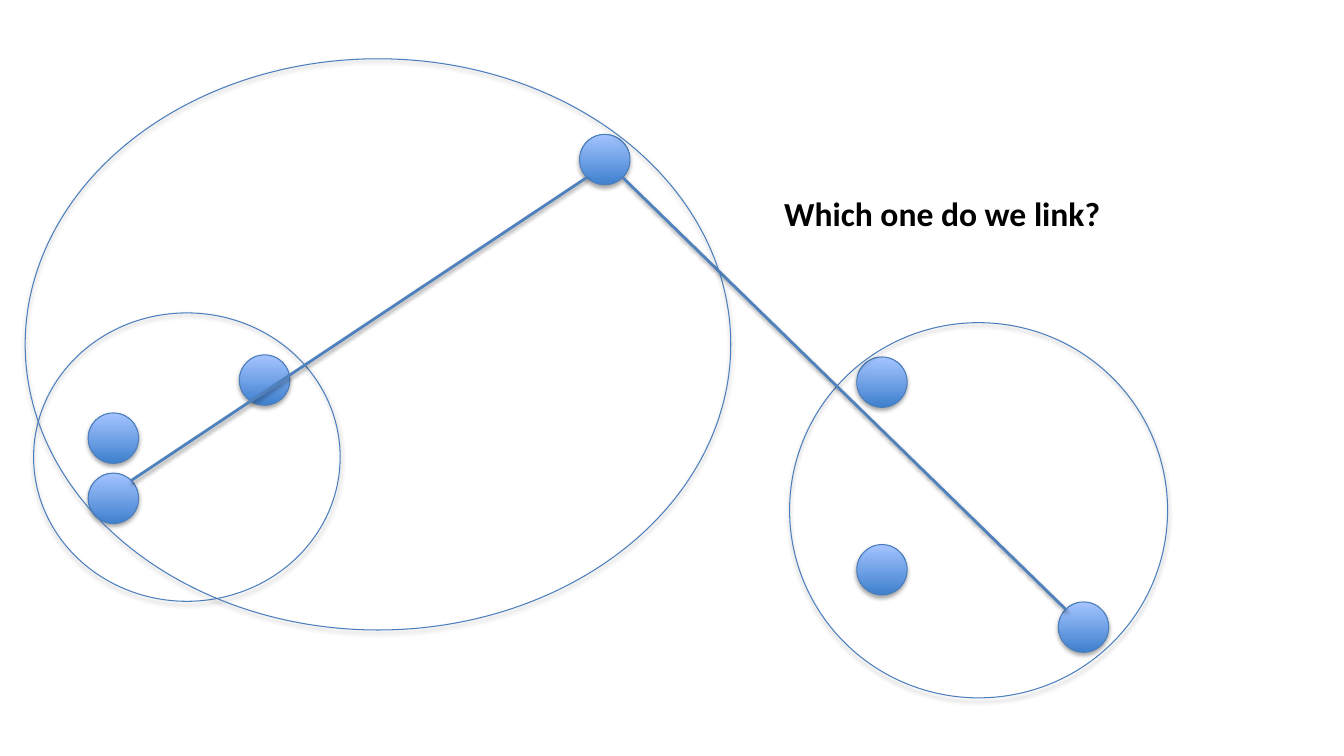
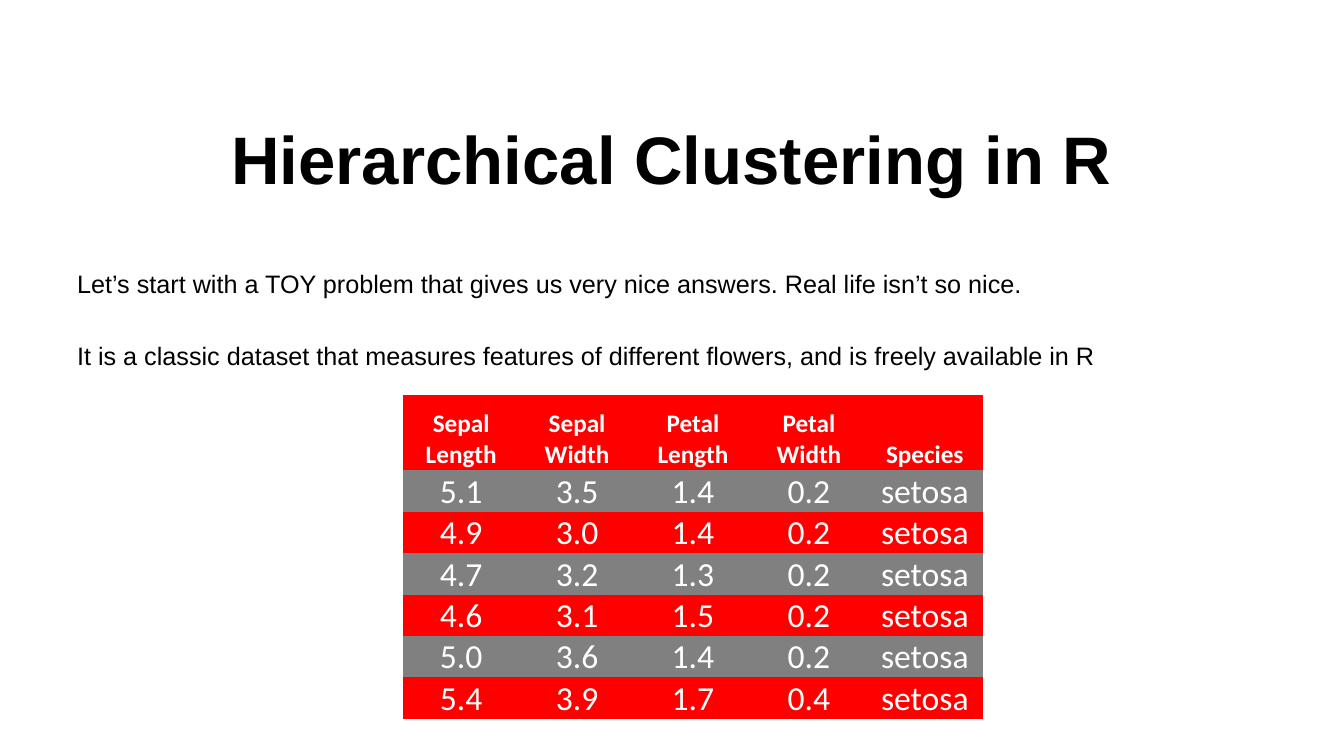
import math

import pptx
import pptx.dml.color
import pptx.enum.shapes
import pptx.enum.text
import pptx.oxml.ns
import pptx.util
from lxml import etree

Pt = pptx.util.Pt
RGBColor = pptx.dml.color.RGBColor
qn = pptx.oxml.ns.qn
ALIGN = pptx.enum.text.PP_ALIGN
ANCHOR = pptx.enum.text.MSO_ANCHOR

BLACK = RGBColor(0x00, 0x00, 0x00)
WHITE = RGBColor(0xFF, 0xFF, 0xFF)
RED = RGBColor(0xFF, 0x00, 0x00)
GREY = RGBColor(0x80, 0x80, 0x80)
DARK_BLUE = RGBColor(0x3F, 0x80, 0xCE)
LIGHT_BLUE = RGBColor(0xA4, 0xC4, 0xFF)
OUTLINE_BLUE = RGBColor(0x4B, 0x7E, 0xBC)
LINK_BLUE = RGBColor(0x4F, 0x81, 0xBD)

HEADING_FONT = "Arial"
LABEL_FONT = "Calibri"
RADIUS = 18
PLAIN_TABLE_STYLE = "{2D5ABB26-0587-4C30-8999-92F81FD0307C}"

FLOWERS = [
    ("Sepal Length", "Sepal Width", "Petal Length", "Petal Width", "Species"),
    ("5.1", "3.5", "1.4", "0.2", "setosa"),
    ("4.9", "3.0", "1.4", "0.2", "setosa"),
    ("4.7", "3.2", "1.3", "0.2", "setosa"),
    ("4.6", "3.1", "1.5", "0.2", "setosa"),
    ("5.0", "3.6", "1.4", "0.2", "setosa"),
    ("5.4", "3.9", "1.7", "0.4", "setosa"),
]


class Deck:
    def __init__(self):
        self.presentation = pptx.Presentation()
        self.presentation.slide_width = Pt(960)
        self.presentation.slide_height = Pt(540)
        self.slide = None

    def new_slide(self):
        self.slide = self.presentation.slides.add_slide(self.presentation.slide_layouts[6])

    def set_font(self, paragraph, name, size, color, bold=False):
        font = paragraph.font
        font.name, font.size, font.bold = name, Pt(size), bold
        font.color.rgb = color

    def drop_shadow(self, shape, distance, opacity):
        """Add a soft shadow straight below; call after fill and line are set."""
        effects = etree.SubElement(shape._element.spPr, qn("a:effectLst"))
        shadow = etree.SubElement(effects, qn("a:outerShdw"), blurRad=str(Pt(3.1)),
                                  dist=str(Pt(distance)), dir="5400000", rotWithShape="0")
        color = etree.SubElement(shadow, qn("a:srgbClr"), val=str(BLACK))
        etree.SubElement(color, qn("a:alpha"), val=str(opacity * 1000))

    def ellipse(self, left, top, width, height, filled=False):
        shape = self.slide.shapes.add_shape(pptx.enum.shapes.MSO_SHAPE.OVAL,
                                            Pt(left), Pt(top), Pt(width), Pt(height))
        if filled:
            shape.fill.gradient()
            shape.fill.gradient_angle = 90
            for stop, position, color in zip(shape.fill.gradient_stops, (0, 1),
                                             (DARK_BLUE, LIGHT_BLUE)):
                stop.position = position
                stop.color.rgb = color
        else:
            shape.fill.background()
        shape.line.color.rgb = OUTLINE_BLUE
        shape.line.width = Pt(0.75)
        self.drop_shadow(shape, 1.8, 35)

    def dot(self, center):
        x, y = center
        self.ellipse(x - RADIUS, y - RADIUS, 2 * RADIUS, 2 * RADIUS, filled=True)

    def link(self, start, end):
        """Join two dots at the diagonal points of their rims that face each other."""
        reach = RADIUS * math.sqrt(0.5)
        step_x = math.copysign(reach, end[0] - start[0])
        step_y = math.copysign(reach, end[1] - start[1])
        connector = self.slide.shapes.add_connector(
            pptx.enum.shapes.MSO_CONNECTOR.STRAIGHT,
            Pt(start[0] + step_x), Pt(start[1] + step_y),
            Pt(end[0] - step_x), Pt(end[1] - step_y))
        connector.line.color.rgb = LINK_BLUE
        connector.line.width = Pt(2)
        self.drop_shadow(connector, 1.6, 38)

    def text(self, left, top, width, height, lines, font, size, bold=False,
             align=ALIGN.LEFT, anchor=ANCHOR.TOP, gap=0):
        box = self.slide.shapes.add_textbox(Pt(left), Pt(top), Pt(width), Pt(height))
        frame = box.text_frame
        frame.word_wrap = True
        frame.vertical_anchor = anchor
        frame.text = "\n".join(lines)
        for index, paragraph in enumerate(frame.paragraphs):
            paragraph.alignment = align
            if index and gap:
                paragraph.space_before = Pt(gap)
            self.set_font(paragraph, font, size, BLACK, bold)

    def title(self, title):
        self.text(48, 70.5, 864, 84, [title], HEADING_FONT, 48, bold=True,
                  align=ALIGN.CENTER, anchor=ANCHOR.MIDDLE)

    def table(self, left, top, column_width, header_height, row_height, rows):
        height = header_height + row_height * (len(rows) - 1)
        frame = self.slide.shapes.add_table(len(rows), len(rows[0]), Pt(left), Pt(top),
                                            Pt(column_width * len(rows[0])), Pt(height))
        table = frame.table
        table.horz_banding = False
        table._tbl.tblPr.find(qn("a:tableStyleId")).text = PLAIN_TABLE_STYLE
        for column in table.columns:
            column.width = Pt(column_width)
        for row_index, values in enumerate(rows):
            header = row_index == 0
            table.rows[row_index].height = Pt(header_height if header else row_height)
            for cell, value in zip(table.rows[row_index].cells, values):
                cell.fill.solid()
                cell.fill.fore_color.rgb = GREY if row_index % 2 else RED
                cell.vertical_anchor = ANCHOR.BOTTOM
                cell.margin_left = cell.margin_right = cell.margin_top = Pt(0.75)
                cell.margin_bottom = 0
                cell.text = value
                paragraph = cell.text_frame.paragraphs[0]
                paragraph.alignment = ALIGN.CENTER
                self.set_font(paragraph, LABEL_FONT, 18 if header else 24, WHITE, header)


def linkage_slide(deck):
    deck.new_slide()
    top_dot, low_left_dot, far_right_dot = (432, 114), (81, 356), (774, 448)
    for center in [(189, 271.5), top_dot, (630, 407), (630, 273), (81, 313),
                   low_left_dot, far_right_dot]:
        deck.dot(center)
    deck.ellipse(564, 230.5, 270, 268)
    deck.ellipse(24, 223.5, 219, 206)
    deck.link(far_right_dot, top_dot)
    deck.link(top_dot, low_left_dot)
    deck.ellipse(18, 42, 504, 408)
    deck.text(553, 134, 281.5, 36, ["Which one do we link?"], LABEL_FONT, 24, bold=True)


def flowers_slide(deck):
    deck.new_slide()
    deck.title("Hierarchical Clustering in R")
    deck.text(48, 188, 864, 296, [
        "Let’s start with a TOY problem that gives us very nice answers. "
        "Real life isn’t so nice.",
        "It is a classic dataset that measures features of different flowers, "
        "and is freely available in R",
    ], HEADING_FONT, 18, gap=30)
    deck.table(288, 282, 82.8, 54, 29.3, FLOWERS)


def main():
    deck = Deck()
    linkage_slide(deck)
    flowers_slide(deck)
    deck.presentation.save("out.pptx")


if __name__ == "__main__":
    main()
